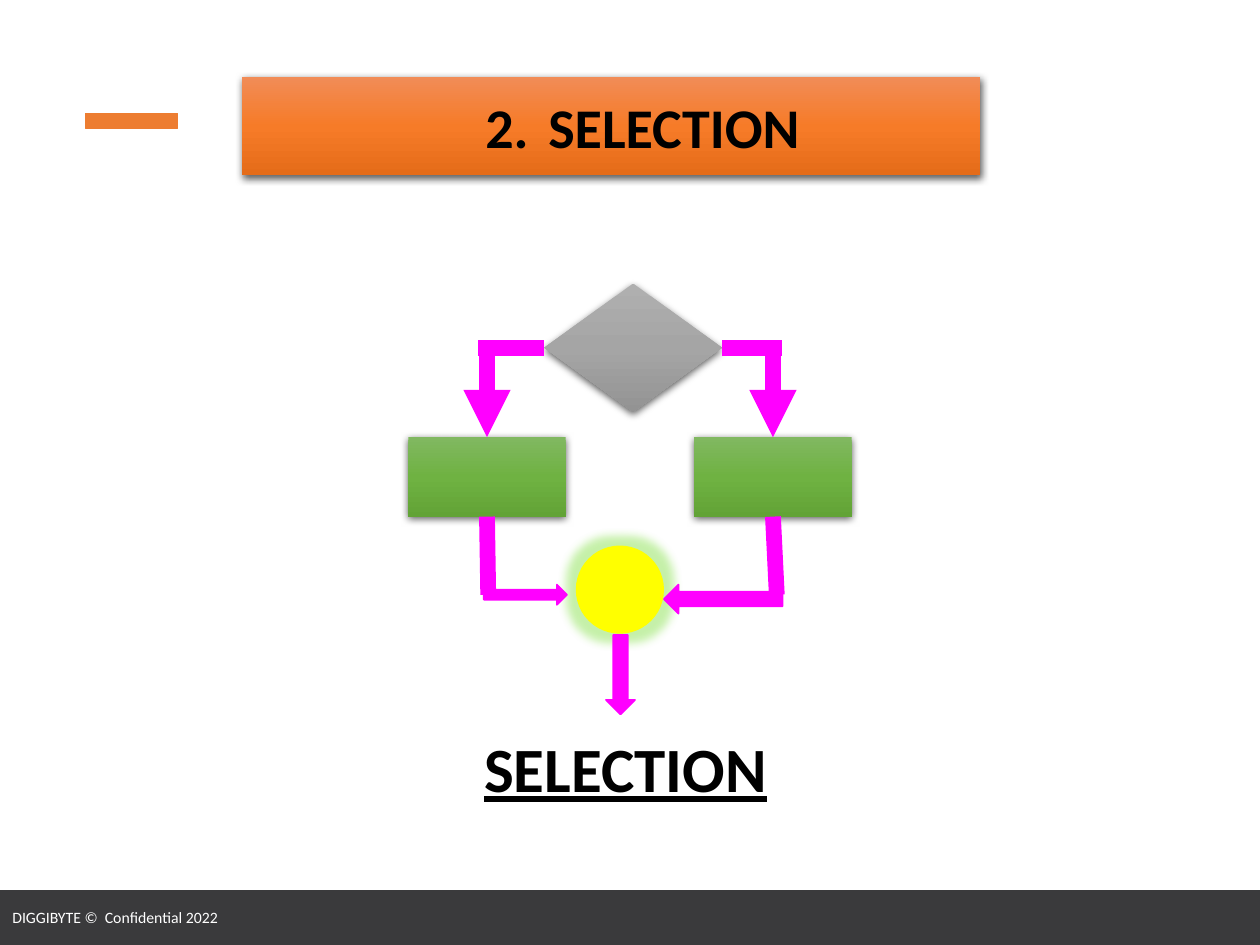
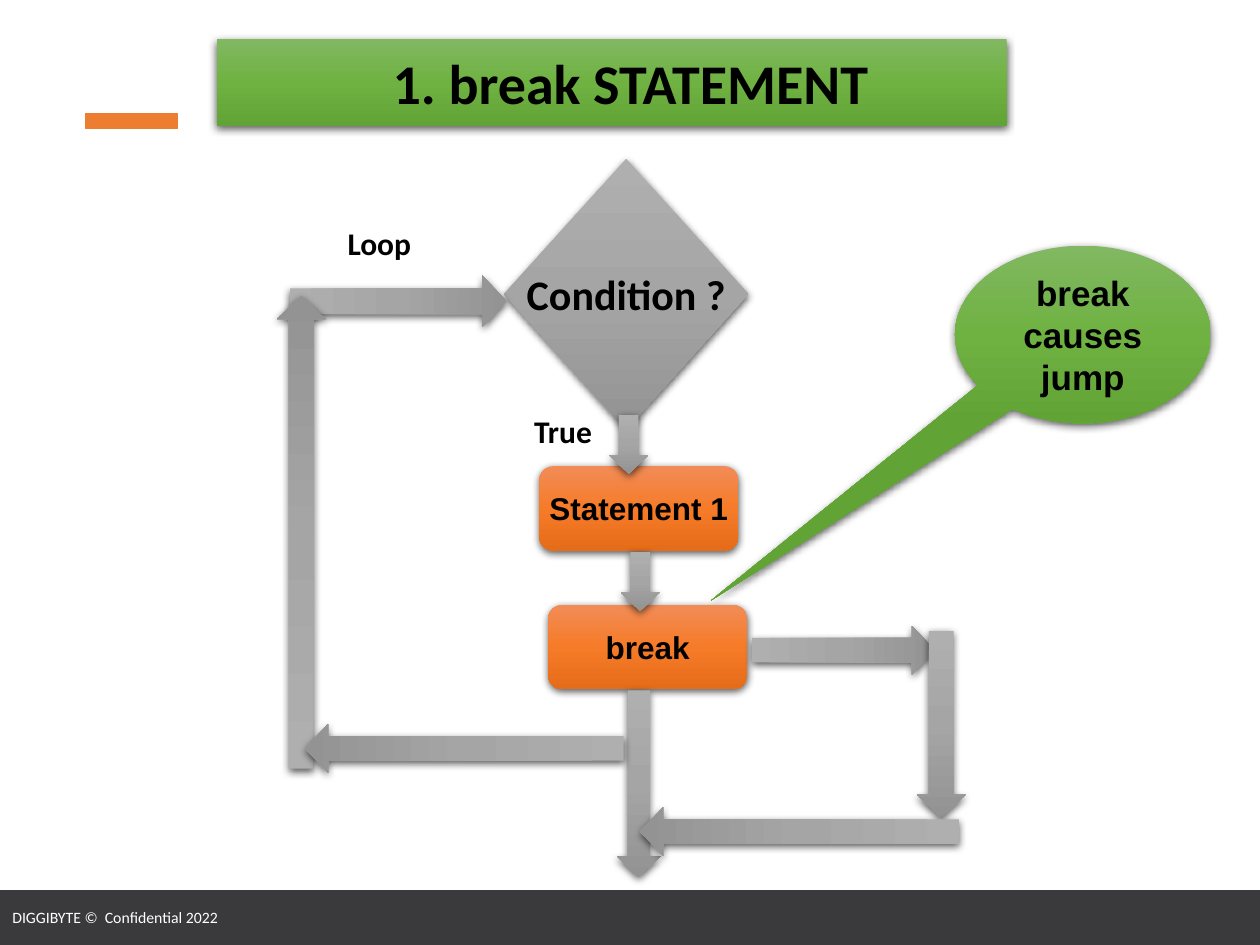
import copy
import dataclasses
import pptx
import pptx.dml.color
import pptx.enum.dml
import pptx.enum.shapes
import pptx.enum.text
import pptx.oxml.ns
import pptx.oxml.xmlchemy
import pptx.util
from lxml import etree

Inches = pptx.util.Inches
Pt = pptx.util.Pt
RGB = pptx.dml.color.RGBColor.from_string
qn = pptx.oxml.ns.qn
SHAPE = pptx.enum.shapes.MSO_SHAPE
ALIGN = pptx.enum.text.PP_ALIGN
ANCHOR = pptx.enum.text.MSO_ANCHOR


@dataclasses.dataclass(frozen=True)
class Theme:
    orange: tuple = ("F18C57", "F67B28", "E56C19")
    green: tuple = ("81B861", "6FB242", "62A336")
    gray: tuple = ("AFAFAF", "A5A5A5", "939393")
    footer: str = "3A3A3C"
    accent: str = "ED7D31"
    flow: str = "FF00FF"
    junction: str = "FFFF00"
    glow: str = "6FDB28"
    text: str = "000000"
    footer_text: str = "FFFFFF"
    heading_font: str = "Calibri"
    box_font: str = "Arial"
    footer_size: int = 9
    label_size: int = 18
    callout_size: int = 20
    condition_size: int = 24
    title_size: int = 32
    caption_size: int = 36
    flow_width: int = 9


T = Theme()
TURN = {"down": 0, "left": 90, "up": 180, "right": 270}


def add_effect(sp, kind, color, alpha, **attrs):
    effects = sp.element.spPr.find(qn("a:effectLst"))
    effect = etree.SubElement(effects, qn(f"a:{kind}"), **attrs)
    clr = etree.SubElement(effect, qn("a:srgbClr"), val=color)
    etree.SubElement(clr, qn("a:alpha"), val=str(alpha * 1000))


def paint(sp, fill, outlined=False):
    sp.shadow.inherit = False
    if isinstance(fill, tuple):
        sp.fill.gradient()
        sp.fill.gradient_angle = 270
        stops = sp.element.spPr.find(".//" + qn("a:gsLst"))
        stops.insert(1, copy.deepcopy(stops[0]))
        for stop, position, color in zip(sp.fill.gradient_stops, (0, 0.5, 1), fill):
            stop.position = position
            stop.color.rgb = RGB(color)
        add_effect(sp, "outerShdw", "000000", 63, blurRad=str(Pt(4.5)),
                   dist=str(Pt(1.5)), dir="5400000", rotWithShape="0")
    else:
        sp.fill.solid()
        sp.fill.fore_color.rgb = RGB(fill)
    if outlined:
        sp.line.color.rgb = RGB(fill)
        sp.line.width = Pt(1)
    else:
        sp.line.fill.background()


def write(sp, text, size, font=T.heading_font, color=T.text, bold=True,
          align=ALIGN.CENTER, wrap=True, anchor=ANCHOR.MIDDLE):
    tf = sp.text_frame
    tf.word_wrap = wrap
    tf.vertical_anchor = anchor
    p = tf.paragraphs[0]
    p.text = text
    p.alignment = align
    p.font.name = font
    p.font.size = Pt(size)
    p.font.bold = bold
    p.font.color.rgb = RGB(color)
    return p


def add_box(slide, kind, left, top, width, height, fill, outlined=False):
    sp = slide.shapes.add_shape(kind, Inches(left), Inches(top), Inches(width), Inches(height))
    paint(sp, fill, outlined)
    return sp


def add_label(slide, text, left, top, width, height, size, **style):
    sp = slide.shapes.add_textbox(Inches(left), Inches(top), Inches(width), Inches(height))
    return write(sp, text, size, anchor=ANCHOR.TOP, **style)


def add_title(slide, text, left, top, width, height, fill, indent):
    sp = slide.shapes.title
    sp.left, sp.top, sp.width, sp.height = map(Inches, (left, top, width, height))
    paint(sp, fill)
    p = write(sp, text, T.title_size)
    sp.text_frame.auto_size = pptx.enum.text.MSO_AUTO_SIZE.NONE
    props = p._p.get_or_add_pPr()
    props.set("marL", str(Inches(indent)))
    props.set("indent", "0")


def add_flow_line(slide, start, end, head=False):
    line = slide.shapes.add_connector(pptx.enum.shapes.MSO_CONNECTOR.STRAIGHT,
                                      *map(Inches, start + end))
    line.line.color.rgb = RGB(T.flow)
    line.line.width = Pt(T.flow_width)
    props = line.element.spPr
    if head:
        etree.SubElement(props.find(qn("a:ln")), qn("a:tailEnd"), type="triangle")
    etree.SubElement(props, qn("a:effectLst"))
    return line


def add_block_arrow(slide, x, y, length, direction, width=0.39):
    dx, dy = {"down": (0, 1), "left": (-1, 0), "up": (0, -1), "right": (1, 0)}[direction]
    center_x, center_y = x + dx * length / 2, y + dy * length / 2
    sp = add_box(slide, SHAPE.DOWN_ARROW, center_x - width / 2, center_y - length / 2,
                 width, length, T.gray)
    sp.adjustments[1] = 0.47
    sp.rotation = TURN[direction]


def decorate_layout(layout, slide):
    for ph in list(layout.placeholders)[1:]:
        layout.shapes.element.remove(ph.element)
    footer = add_box(slide, SHAPE.RECTANGLE, 0, 7.07, 10, 0.42, T.footer, outlined=True)
    write(footer, "DIGGIBYTE ©  Confidential 2022", T.footer_size, color=T.footer_text,
          bold=False, align=ALIGN.LEFT)
    accent = add_box(slide, SHAPE.RECTANGLE, 0.68, 0.9, 0.73, 0.12, T.accent, outlined=True)
    for sp in (footer, accent):
        layout.shapes.element.append(sp.element)


def draw_selection(slide, left, top):
    decision = add_box(slide, SHAPE.FLOWCHART_DECISION, left + 1.08, top, 1.41, 1.02, T.gray)
    branch_y = top + 0.51
    for offset, sign, site, drift in ((0, -1, 1, 0.01), (2.27, 1, 3, 0.03)):
        step = add_box(slide, SHAPE.RECTANGLE, left + offset, top + 1.22, 1.25, 0.63, T.green)
        middle = left + offset + 0.625
        branch = add_flow_line(slide, (left, branch_y), (middle + sign * 0.07, branch_y))
        branch.begin_connect(decision, site)
        descent = add_flow_line(slide, (middle, branch_y), (middle, top + 1.22), head=True)
        descent.end_connect(step, 0)
        merge = add_flow_line(slide, (middle, top + 1.85), (middle + drift, top + 2.47))
        merge.begin_connect(step, 2)
    junction = add_box(slide, SHAPE.FLOWCHART_CONNECTOR, left + 1.33, top + 2.08, 0.7, 0.7, T.junction)
    add_effect(junction, "glow", T.glow, 40, rad=str(Pt(11)))
    for kind, x, y, width, height in (
        (SHAPE.RIGHT_ARROW, 0.6, 2.39, 0.66, 0.16),
        (SHAPE.LEFT_ARROW, 2.03, 2.39, 0.94, 0.23),
        (SHAPE.DOWN_ARROW, 1.57, 2.79, 0.23, 0.63),
    ):
        add_box(slide, kind, left + x, top + y, width, height, T.flow, outlined=True)
    caption = add_label(slide, "SELECTION", left + 0.24, top + 3.49, 2.97, 0.71, T.caption_size)
    caption.font.underline = True


def draw_break_flow(slide, left, top):
    callout = add_box(slide, SHAPE.OVAL_CALLOUT, left + 5.39, top + 0.69, 2.03, 1.41, T.green)
    callout.adjustments[0], callout.adjustments[1] = -1.455, 1.498
    write(callout, "break causes jump", T.callout_size, T.box_font)
    condition = add_box(slide, SHAPE.DIAMOND, left + 1.81, top, 1.94, 2.15, T.gray)
    write(condition, "Condition ?", T.condition_size, wrap=False)
    for text, x, y in (("Statement 1", 2.09, 2.44), ("break", 2.16, 3.54)):
        step = add_box(slide, SHAPE.ROUNDED_RECTANGLE, left + x, top + y, 1.58, 0.67, T.orange)
        write(step, text, T.label_size, T.box_font, wrap=False)
    for text, x, y, width in (("Loop", 0.47, 0.47, 0.71), ("True", 1.95, 1.96, 0.66)):
        add_label(slide, text, left + x, top + y, width, 0.4, T.label_size,
                  align=ALIGN.LEFT, wrap=False)
    for x, y, length, direction, width in (
        (2.88, 4.22, 1.48, "down", 0.35),
        (0.11, 1.13, 1.72, "right", 0.41),
        (0.2, 4.84, 3.75, "up", 0.39),
        (3.78, 3.9, 1.45, "right", 0.39),
        (2.89, 3.12, 0.47, "down", 0.31),
        (2.8, 2.03, 0.47, "down", 0.31),
        (2.76, 4.68, 2.53, "left", 0.39),
        (5.28, 3.75, 1.48, "down", 0.39),
        (5.42, 5.34, 2.53, "left", 0.39),
    ):
        add_block_arrow(slide, left + x, top + y, length, direction, width)


def main():
    prs = pptx.Presentation()
    prs.slide_width, prs.slide_height = Inches(10), Inches(7.5)
    layout = prs.slide_layouts[5]

    selection = prs.slides.add_slide(layout)
    decorate_layout(layout, selection)
    add_title(selection, "2.\tSELECTION", 1.92, 0.61, 5.86, 0.78, T.orange, 0.5)
    draw_selection(selection, 3.24, 2.25)

    break_slide = prs.slides.add_slide(layout)
    add_title(break_slide, "1. break STATEMENT", 1.72, 0.31, 6.27, 0.69, T.green, 0.3)
    draw_break_flow(break_slide, 2.19, 1.26)

    prs.save("out.pptx")


if __name__ == "__main__":
    main()
